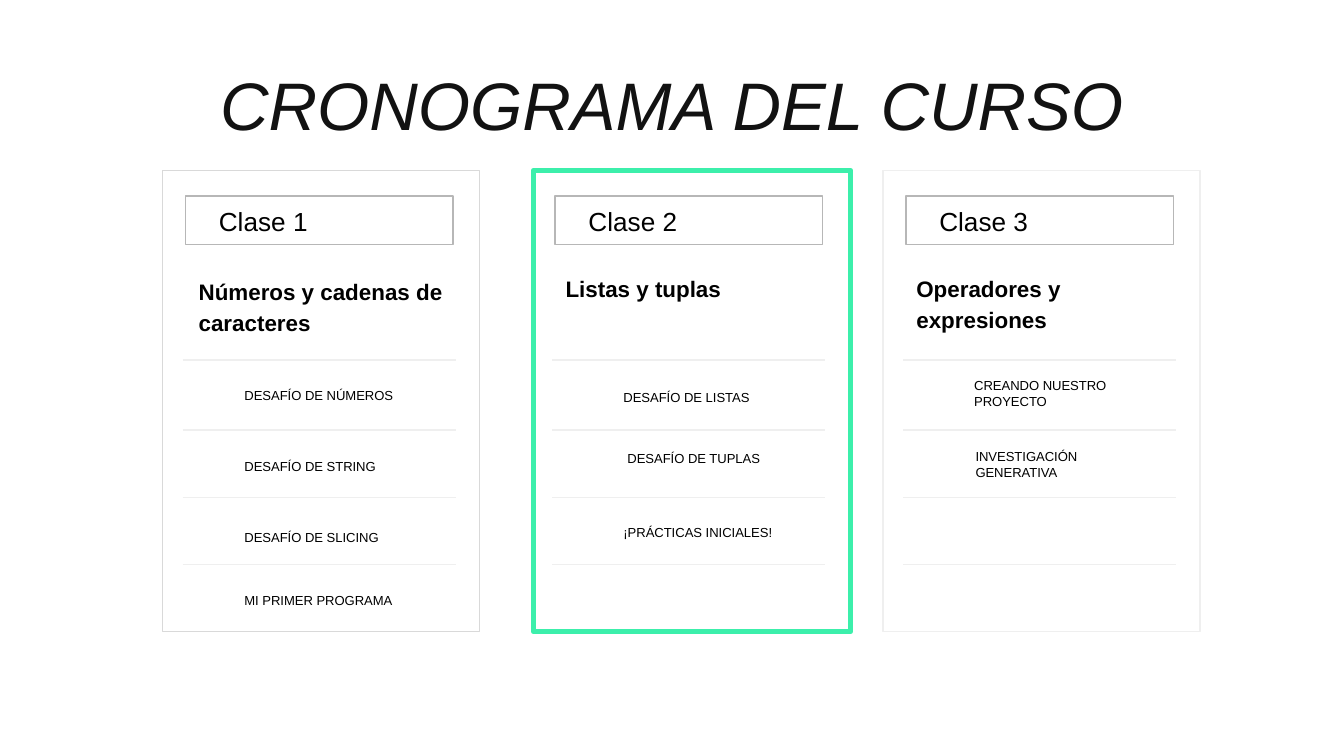
from dataclasses import dataclass

from lxml import etree
from pptx import Presentation
from pptx import util as u
from pptx.dml.color import RGBColor
from pptx.enum import shapes, text
from pptx.oxml.ns import qn


@dataclass
class Theme:
    font: str = "Arial"
    ink: str = "000000"
    head: str = "121212"
    box: str = "B7B7B7"
    rule: str = "EFEFEF"
    edge: str = "D9D9D9"
    mark: str = "3CEFAB"
    title: int = 36
    label: int = 14
    topic: int = 12
    task: int = 7


theme = Theme()
prs = Presentation()
# Widescreen, 16:9
prs.slide_width = u.Inches(10)
prs.slide_height = u.Inches(10) * 9 // 16
slide = prs.slides.add_slide(prs.slide_layouts[5])


def write(box, words, size, color=theme.ink, bold=False, italic=False):
    frame = box.text_frame
    frame.word_wrap = True
    frame.auto_size = text.MSO_AUTO_SIZE.NONE
    frame.margin_left = frame.margin_right = u.Inches(0.1)
    frame.margin_top = frame.margin_bottom = u.Inches(0.1)
    frame.text = words
    para = frame.paragraphs[0]
    font = para.runs[0].font
    font.name, font.size = theme.font, u.Pt(size)
    font.bold, font.italic = bold, italic
    font.color.rgb = RGBColor.from_string(color)
    return para


def outline(x, y, w, h, color, width=0.75):
    rect = slide.shapes.add_shape(
        shapes.MSO_SHAPE.RECTANGLE,
        u.Inches(x), u.Inches(y), u.Inches(w), u.Inches(h))
    rect.shadow.inherit = False
    rect.fill.background()
    rect.line.color.rgb = RGBColor.from_string(color)
    rect.line.width = u.Pt(width)


# Title
title = slide.shapes.title
title.left, title.top = u.Inches(1.53), u.Inches(0.23)
title.width, title.height = u.Inches(6.94), u.Inches(1.08)
para = write(title, "CRONOGRAMA DEL CURSO", theme.title, theme.head, italic=True)
para.alignment = text.PP_ALIGN.CENTER
title.text_frame.vertical_anchor = text.MSO_ANCHOR.MIDDLE

# Card: left, edge colour, edge width, label, topic (words, x, y), tasks (words, x, y)
cards = [
    (1.21, theme.edge, 0.75, "Clase 1",
     ("Números y cadenas de caracteres", 1.38, 1.94),
     [("DESAFÍO DE NÚMEROS", 1.72, 2.78),
      ("DESAFÍO DE STRING", 1.72, 3.31),
      ("DESAFÍO DE SLICING", 1.72, 3.84),
      ("MI PRIMER PROGRAMA", 1.72, 4.31)]),
    (3.97, theme.mark, 3, "Clase 2",
     ("Listas y tuplas", 4.11, 1.92),
     [("DESAFÍO DE LISTAS", 4.54, 2.8),
      ("DESAFÍO DE TUPLAS", 4.57, 3.25),
      ("¡PRÁCTICAS INICIALES!", 4.54, 3.8)]),
    (6.57, theme.rule, 0.75, "Clase 3",
     ("Operadores y expresiones", 6.72, 1.92),
     [("CREANDO NUESTRO PROYECTO", 7.15, 2.71),
      ("INVESTIGACIÓN GENERATIVA", 7.16, 3.24)]),
]
inner = [1.38, 4.13, 6.74]

for (left, edge, width, label, topic, tasks), x in zip(cards, inner):
    # Frame and label box
    outline(left, 1.27, 2.36, 3.43, edge, width)
    outline(x, 1.46, 1.99, 0.36, theme.box)

    # Row rules
    for y in (2.68, 3.2, 3.7, 4.2):
        rule = slide.shapes.add_connector(
            shapes.MSO_CONNECTOR.STRAIGHT,
            u.Inches(x - 0.02), u.Inches(y), u.Inches(x + 2.01), u.Inches(y))
        rule.line.color.rgb = RGBColor.from_string(theme.rule)
        rule.line.width = u.Pt(0.75)
        etree.SubElement(rule._element.spPr, qn("a:effectLst"))

    # Label, topic and tasks
    items = [(label, x + 0.15, 1.43, 1.35, 0.4, theme.label, False),
             (*topic, 2.03, 0.46, theme.topic, True)]
    items += [(*task, 1.52, 0.31, theme.task, False) for task in tasks]
    for words, tx, ty, w, h, size, bold in items:
        box = slide.shapes.add_textbox(
            u.Inches(tx), u.Inches(ty), u.Inches(w), u.Inches(h))
        para = write(box, words, size, bold=bold)
        if bold:
            para.line_spacing = 1.15

prs.save("out.pptx")
